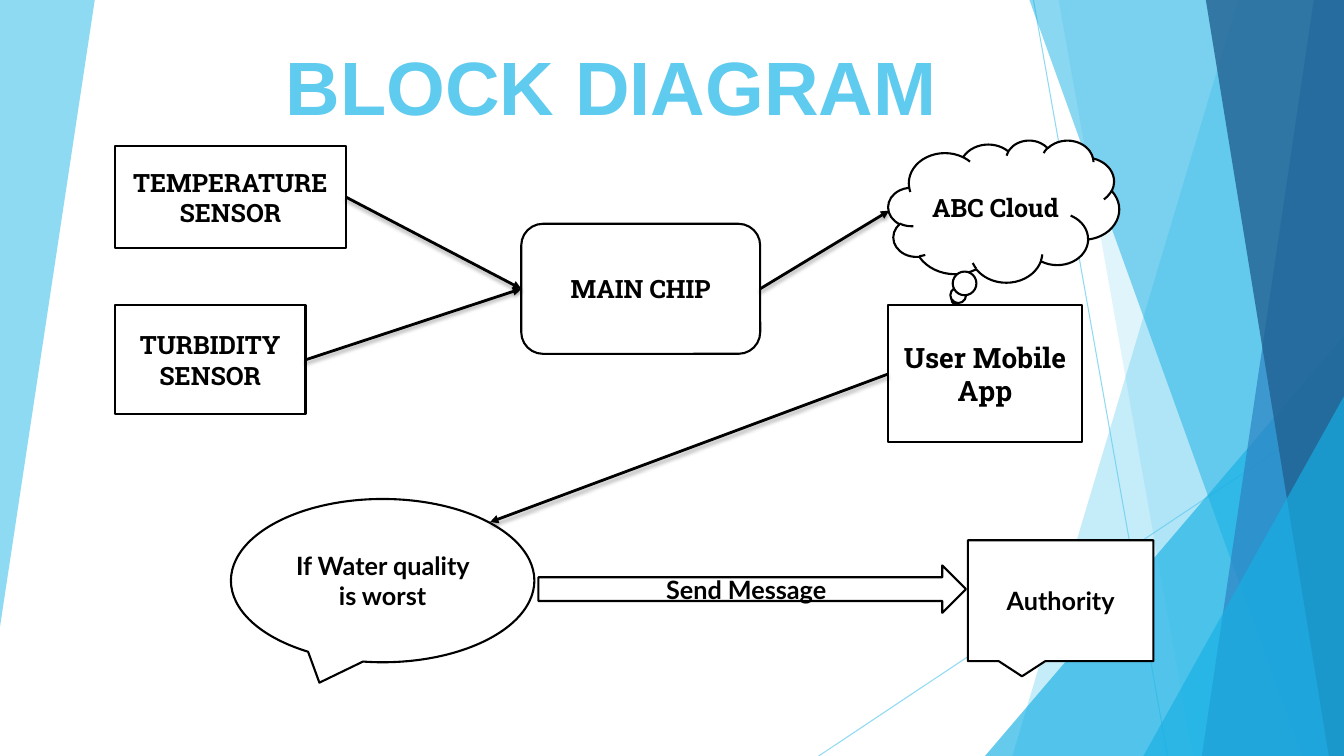
from pptx import Presentation
from pptx.dml.color import RGBColor
from pptx.enum.shapes import MSO_CONNECTOR, MSO_SHAPE
from pptx.enum.text import MSO_ANCHOR, MSO_AUTO_SIZE, PP_ALIGN
from pptx.oxml import parse_xml
from pptx.oxml.ns import nsdecls, qn
from pptx.util import Pt

PX = 9144  # EMU in one px, at 100 px to the inch
WIDTH, HEIGHT = 1333, 750

WHITE = RGBColor(0xFF, 0xFF, 0xFF)
BLACK = RGBColor(0x00, 0x00, 0x00)
SKY = RGBColor(0x5F, 0xCB, 0xEF)
CYAN = RGBColor(0x17, 0xB0, 0xE4)
BLUE = RGBColor(0x2E, 0x83, 0xC3)
NAVY = RGBColor(0x22, 0x62, 0x92)

RECT = MSO_SHAPE.RECTANGLE
ROUNDED = MSO_SHAPE.ROUNDED_RECTANGLE
CLOUD = MSO_SHAPE.CLOUD_CALLOUT
SPEECH_OVAL = MSO_SHAPE.OVAL_CALLOUT
SPEECH_RECT = MSO_SHAPE.RECTANGULAR_CALLOUT
BLOCK_ARROW = MSO_SHAPE.RIGHT_ARROW
TRIANGLE = MSO_SHAPE.ISOSCELES_TRIANGLE
STRAIGHT = MSO_CONNECTOR.STRAIGHT
LEFT_SITE, RIGHT_SITE = 1, 3

SLAB, LATO = "Roboto Slab", "Lato"


def px(*lengths):
    return [length * PX for length in lengths]


def set_opacity(shape, percent):
    for color in shape.element.spPr.iter(qn("a:srgbClr")):
        color.append(parse_xml(f'<a:alpha {nsdecls("a")} val="{percent * 1000}"/>'))


def add_span(para, text, font, size, color):
    span = para.add_run()
    span.text = text
    span.font.name = font
    span.font.size = Pt(size)
    span.font.bold = True
    span.font.color.rgb = color


# Background facets
def paint_facet(shape, color, opacity):
    shape.shadow.inherit = False
    shape.fill.solid()
    shape.fill.fore_color.rgb = color
    shape.line.fill.background()
    set_opacity(shape, opacity)


def add_facet(group, points, color, opacity):
    builder = group.shapes.build_freeform(*points[0], scale=PX)
    builder.add_line_segments(points[1:], close=True)
    paint_facet(builder.convert_to_shape(), color, opacity)


def add_right_facet(group, top, bottom, color, opacity):
    corners = [(top, 0), (WIDTH, 0), (WIDTH, HEIGHT), (bottom, HEIGHT)]
    add_facet(group, corners, color, opacity)


def add_corner(group, left, top):
    box = (left, top, WIDTH - left, HEIGHT - top)
    triangle = group.shapes.add_shape(TRIANGLE, *px(*box))
    triangle.adjustments[0] = 1
    paint_facet(triangle, CYAN, 66)


def add_hairline(group, *ends):
    line = group.shapes.add_connector(STRAIGHT, *px(*ends))
    line.line.color.rgb = SKY
    line.line.width = Pt(0.75)
    line.element.spPr.append(parse_xml(f'<a:effectLst {nsdecls("a")}/>'))
    set_opacity(line, 70)


def add_backdrop(page):
    group = page.shapes.add_group_shape()
    add_facet(group, [(0, 0), (94, 0), (0, 622)], SKY, 70)
    add_hairline(group, 1025, 0, 1158, HEIGHT)
    add_hairline(group, WIDTH, 403, 812, HEIGHT)
    add_right_facet(group, 1228, 1004, SKY, 36)
    add_right_facet(group, 1050, 1183, SKY, 20)
    add_corner(group, 977, 333)
    add_right_facet(group, 1021, 1291, CYAN, 50)
    add_right_facet(group, 1303, 1192, BLUE, 70)
    add_right_facet(group, 1196, 1318, NAVY, 80)
    add_corner(group, 1134, 393)


# Title
def set_title(page, text):
    title = page.shapes.title
    title.left, title.top, title.width, title.height = px(-31, 30, 970, 105)
    frame = title.text_frame
    frame.word_wrap = True
    frame.auto_size = MSO_AUTO_SIZE.NONE
    frame.vertical_anchor = MSO_ANCHOR.BOTTOM
    para = frame.paragraphs[0]
    para.alignment = PP_ALIGN.RIGHT
    add_span(para, text, "Arial", 54, SKY)


# Diagram parts
def add_block(page, kind, box, text, font=SLAB, size=18):
    block = page.shapes.add_shape(kind, *px(*box))
    block.shadow.inherit = False
    block.fill.solid()
    block.fill.fore_color.rgb = WHITE
    block.line.color.rgb = BLACK
    block.line.width = Pt(1.5)
    frame = block.text_frame
    frame.word_wrap = True
    frame.vertical_anchor = MSO_ANCHOR.MIDDLE
    para = frame.paragraphs[0]
    para.alignment = PP_ALIGN.CENTER
    add_span(para, text, font, size, BLACK)
    return block


def add_arrow(page, source, site, end, target=None):
    arrow = page.shapes.add_connector(STRAIGHT, 0, 0, *px(*end))
    arrow.begin_connect(source, site)
    if target is not None:
        arrow.end_connect(target, LEFT_SITE)
    arrow.line.color.rgb = BLACK
    arrow.line.width = Pt(2)
    properties = arrow.element.spPr
    properties.find(qn("a:ln")).append(
        parse_xml(f'<a:tailEnd {nsdecls("a")} type="triangle"/>'))
    properties.append(parse_xml(
        f'<a:effectLst {nsdecls("a")}>'
        '<a:outerShdw blurRad="38100" dist="25400" dir="5400000" rotWithShape="0">'
        '<a:srgbClr val="000000"><a:alpha val="35000"/></a:srgbClr>'
        '</a:outerShdw></a:effectLst>'))


def main():
    deck = Presentation()
    deck.slide_width, deck.slide_height = px(WIDTH, HEIGHT)
    page = deck.slides.add_slide(deck.slide_layouts[0])
    subtitle = page.placeholders[1].element
    subtitle.getparent().remove(subtitle)

    add_backdrop(page)
    set_title(page, "BLOCK DIAGRAM")

    # Sensors, controller and app
    temperature = add_block(page, RECT, (114, 145, 229, 101), "TEMPERATURE SENSOR")
    turbidity = add_block(page, RECT, (114, 303, 189, 108), "TURBIDITY SENSOR")
    app = add_block(page, RECT, (881, 303, 192, 136), "User Mobile App", size=20)
    controller = add_block(page, ROUNDED, (517, 222, 237, 129), "MAIN CHIP")
    for sensor in (temperature, turbidity):
        add_arrow(page, sensor, RIGHT_SITE, (517, 287), controller)
    add_block(page, CLOUD, (881, 139, 229, 141), "ABC Cloud")
    add_arrow(page, controller, RIGHT_SITE, (882, 209))

    # Warning path
    add_block(page, SPEECH_OVAL, (229, 495, 301, 162), "If Water quality is worst", LATO)
    add_block(page, SPEECH_RECT, (960, 536, 184, 120), "Authority", LATO)
    add_block(page, BLOCK_ARROW, (534, 561, 424, 47), "Send Message", LATO)
    add_arrow(page, app, LEFT_SITE, (486, 518))

    deck.save("out.pptx")


if __name__ == "__main__":
    main()
